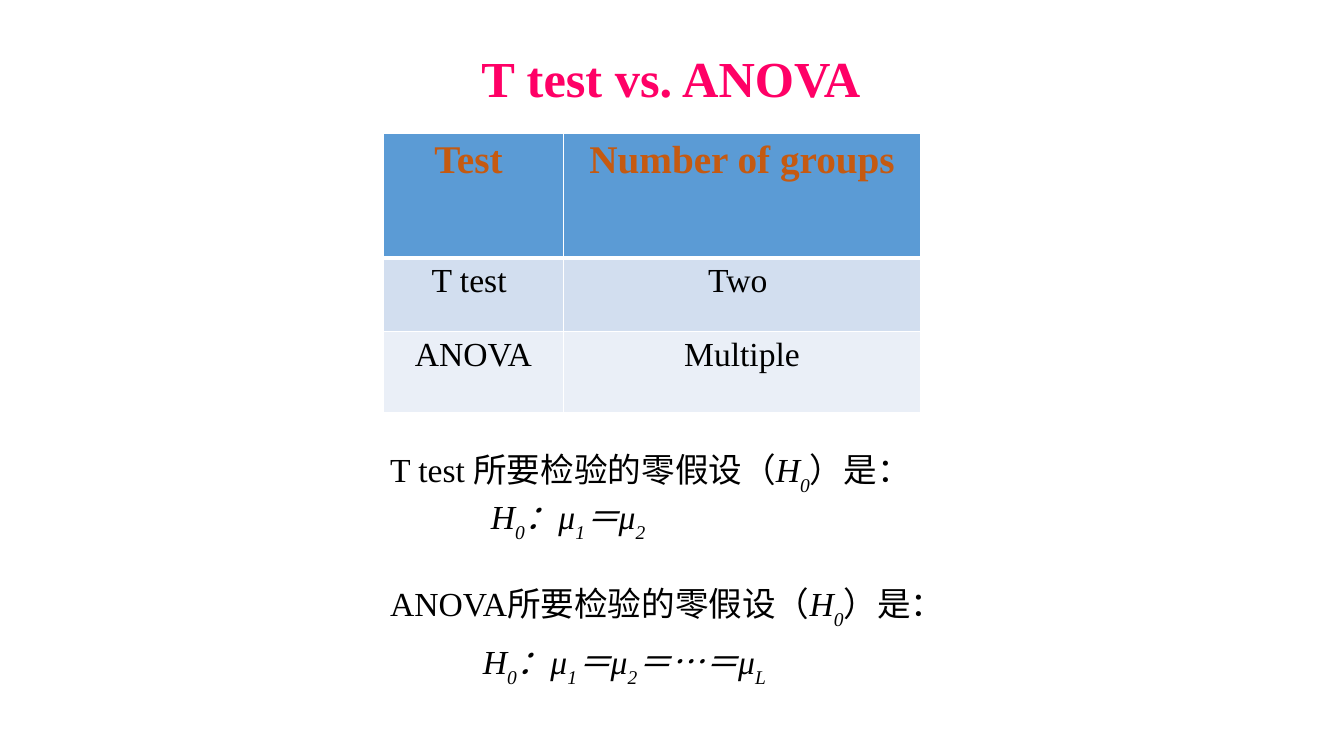
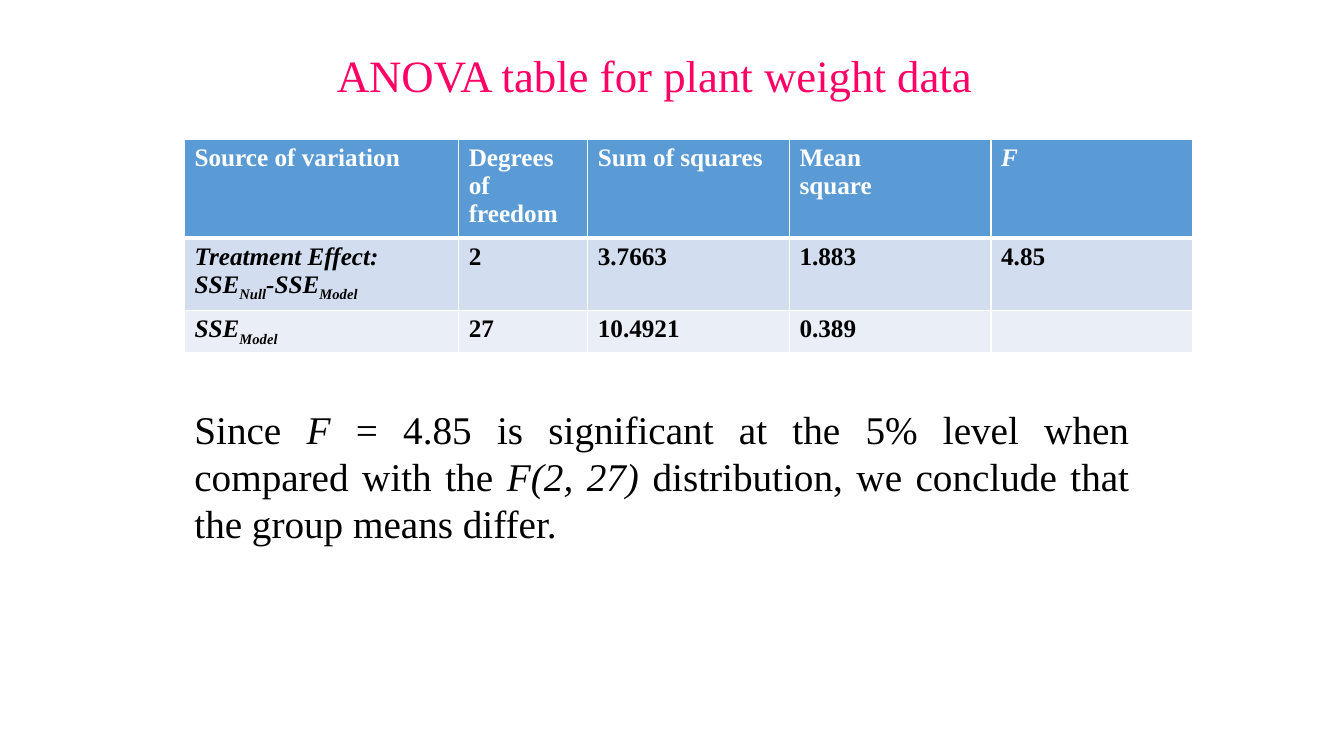
"""Build two slides that compare the T test with ANOVA."""
from dataclasses import dataclass

from lxml import etree
from pptx import Presentation
from pptx.dml.color import RGBColor
from pptx.enum.text import MSO_ANCHOR, MSO_AUTO_SIZE, PP_ALIGN
from pptx.oxml.ns import qn
from pptx.util import Inches, Pt

LEFT, CENTER, JUSTIFY = PP_ALIGN.LEFT, PP_ALIGN.CENTER, PP_ALIGN.JUSTIFY
TOP = MSO_ANCHOR.TOP
NO_AUTOFIT = MSO_AUTO_SIZE.NONE
TITLE_ONLY = 5
FONT = "Times New Roman"
PINK, BLACK, WHITE, ORANGE = "FF0066", "000000", "FFFFFF", "C55A11"
ROW_FILLS = ("5B9BD5", "D2DEEF", "EAEFF7")
BORDER_SIDES = ("lnL", "lnR", "lnT", "lnB")


@dataclass(frozen=True)
class TextStyle:
    """Font and alignment; the subscript offset is in thousandths of a percent."""
    size: float
    color: str = BLACK
    bold: bool = False
    align: PP_ALIGN = LEFT
    subscript: int = -30000


@dataclass(frozen=True)
class Line:
    """A paragraph: asterisks enclose italics and underscores enclose subscripts."""
    text: str
    indent: float = 0
    space_before: float = 0


@dataclass(frozen=True)
class Box:
    """Left, top, width and height in inches."""
    left: float
    top: float
    width: float
    height: float

    def lengths(self) -> tuple:
        """Return the four lengths for python-pptx."""
        return tuple(Inches(v) for v in (self.left, self.top, self.width, self.height))


@dataclass(frozen=True)
class TableSpec:
    """Position, column widths, row heights, cell text and row styles of a table."""
    left: float
    top: float
    columns: tuple
    heights: tuple
    rows: tuple
    header: TextStyle
    body: TextStyle


def rgb(color: str) -> RGBColor:
    """Turn a hex string into a colour."""
    return RGBColor.from_string(color)


def apply(target, values: dict) -> None:
    """Set attributes from a dict."""
    for name, value in values.items():
        setattr(target, name, value)


def add_run(paragraph, text: str, style: TextStyle, italic: bool, subscript: bool) -> None:
    """Add one formatted run."""
    run = paragraph.add_run()
    run.text = text
    apply(run.font, {"name": FONT, "size": Pt(style.size), "bold": style.bold, "italic": italic})
    run.font.color.rgb = rgb(style.color)
    if subscript:
        run.font._element.set("baseline", str(style.subscript))


def write_lines(frame, lines: tuple, style: TextStyle) -> None:
    """Fill a text frame with marked-up lines."""
    for index, line in enumerate(lines):
        paragraph = frame.add_paragraph() if index else frame.paragraphs[0]
        apply(paragraph, {"alignment": style.align, "space_before": Pt(line.space_before)})
        if line.indent:
            paragraph._p.get_or_add_pPr().set("marL", str(Inches(line.indent)))
        for part_index, part in enumerate(line.text.split("*")):
            for piece_index, piece in enumerate(part.split("_")):
                if piece:
                    add_run(paragraph, piece, style, part_index % 2 == 1, piece_index % 2 == 1)


def add_titled_slide(presentation, title: str, box: Box, style: TextStyle):
    """Add a slide and format its title placeholder."""
    slide = presentation.slides.add_slide(presentation.slide_layouts[TITLE_ONLY])
    shape = slide.shapes.title
    apply(shape, dict(zip(("left", "top", "width", "height"), box.lengths())))
    apply(shape.text_frame, {"word_wrap": True, "auto_size": NO_AUTOFIT, "vertical_anchor": TOP})
    write_lines(shape.text_frame, (Line(title),), style)
    return slide


def add_text(slide, box: Box, lines: tuple, style: TextStyle) -> None:
    """Add a wrapping text box."""
    frame = slide.shapes.add_textbox(*box.lengths()).text_frame
    frame.word_wrap = True
    write_lines(frame, lines, style)


def set_borders(cell, widths: dict) -> None:
    """Draw white cell borders with a width in points for each side."""
    properties = cell._tc.get_or_add_tcPr()
    for side, width in widths.items():
        border = etree.SubElement(properties, qn(f"a:{side}"), w=str(Pt(width)))
        fill = etree.SubElement(border, qn("a:solidFill"))
        etree.SubElement(fill, qn("a:srgbClr"), val=WHITE)


def add_table(slide, spec: TableSpec) -> None:
    """Add a table with a header row and tinted body rows."""
    box = Box(spec.left, spec.top, sum(spec.columns), sum(spec.heights))
    table = slide.shapes.add_table(len(spec.rows), len(spec.columns), *box.lengths()).table
    for column, width in zip(table.columns, spec.columns):
        column.width = Inches(width)
    for row_index, (height, texts) in enumerate(zip(spec.heights, spec.rows)):
        table.rows[row_index].height = Inches(height)
        widths = dict.fromkeys(BORDER_SIDES, 1)
        if row_index < 2:
            widths["lnT" if row_index else "lnB"] = 3
        for column_index, text in enumerate(texts):
            cell = table.cell(row_index, column_index)
            set_borders(cell, widths)
            cell.fill.solid()
            cell.fill.fore_color.rgb = rgb(ROW_FILLS[row_index])
            lines = tuple(Line(part) for part in text.split("\n"))
            write_lines(cell.text_frame, lines, spec.body if row_index else spec.header)


def build_comparison(presentation) -> None:
    """Build the slide on group counts and null hypotheses."""
    slide = add_titled_slide(presentation, "T test vs. ANOVA", Box(2.96, 0.42, 7.39, 0.71),
                             TextStyle(36, PINK, True, CENTER))
    add_table(slide, TableSpec(
        3.8, 1.32, (1.79, 3.54), (1.24, 0.73, 0.8),
        (("Test ", "Number of groups"), ("T test ", "Two "), ("ANOVA", "Multiple")),
        TextStyle(28, ORANGE, True, CENTER), TextStyle(24, align=CENTER)))
    add_text(slide, Box(3.77, 4.4, 9.5, 2.24), (
        Line("T test 所要检验的零假设（*H_0_*）是："),
        Line("*H_0_：μ_1_＝μ_2_*", indent=1),
        Line("ANOVA所要检验的零假设（*H_0_*）是：", space_before=28),
        Line("*H_0_：μ_1_＝μ_2_＝…＝μ_L_*", indent=0.92, space_before=7.2),
    ), TextStyle(24))


def build_anova_table(presentation) -> None:
    """Build the slide with the plant weight results."""
    slide = add_titled_slide(presentation, "ANOVA table for plant weight data",
                             Box(3.24, 0.42, 6.93, 0.64), TextStyle(32, PINK))
    add_table(slide, TableSpec(
        1.83, 1.38, (2.72, 1.28, 2, 2, 2), (0.98, 0.72, 0.41),
        (("Source of variation", "Degrees of freedom", "Sum of squares", "Mean\nsquare", "*F*"),
         ("*Treatment Effect: SSE_Null_-SSE_Model_*", "2", "3.7663", "1.883", "4.85"),
         ("*SSE_Model_*", "27", "10.4921", "0.389", "")),
        TextStyle(18, WHITE, True), TextStyle(18, bold=True, subscript=-25000)))
    add_text(slide, Box(1.83, 3.97, 9.47, 1.51), (
        Line("Since *F *= 4.85 is significant at the 5% level when compared with the "
             "*F(2, 27)* distribution, we conclude that the group means differ."),
    ), TextStyle(28, align=JUSTIFY))


def main() -> None:
    """Build and save the presentation."""
    presentation = Presentation()
    apply(presentation, {"slide_width": Inches(13.33), "slide_height": Inches(7.5)})
    build_comparison(presentation)
    build_anova_table(presentation)
    presentation.save("out.pptx")


main()
